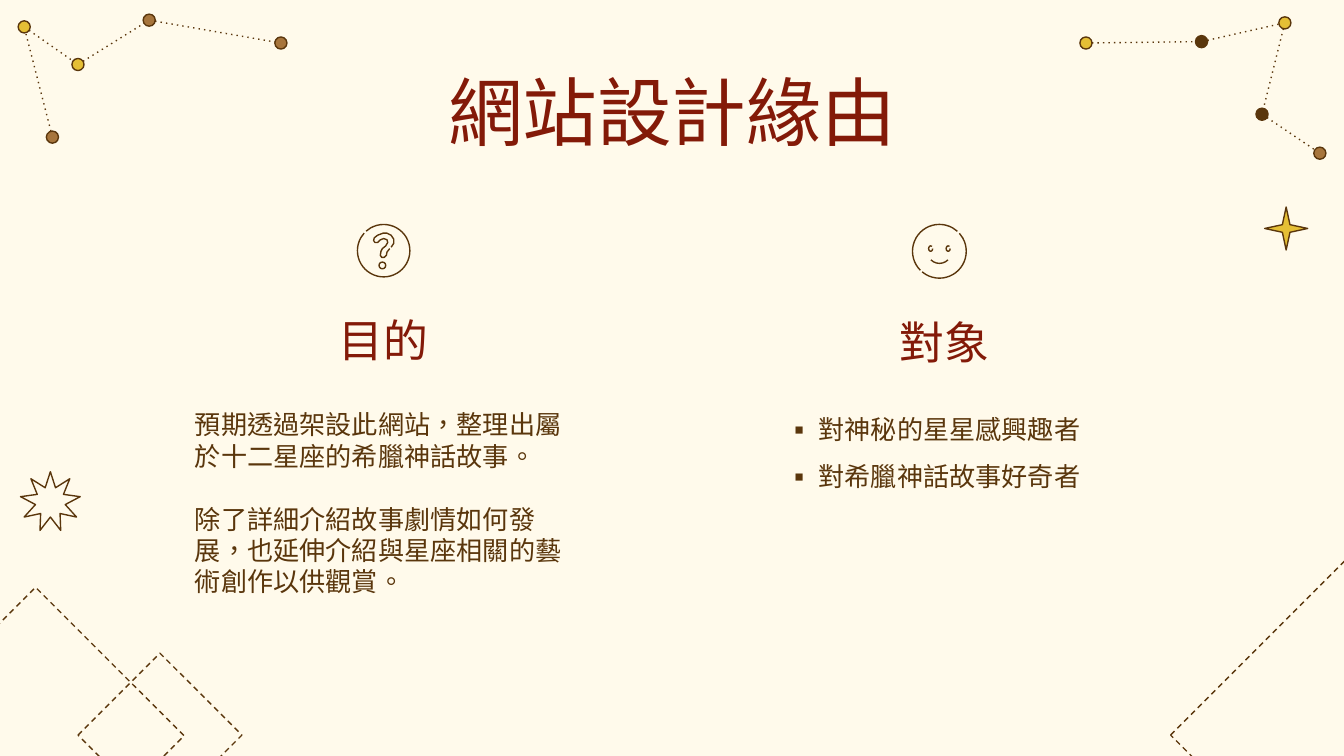
import math
import pptx
import pptx.dml.color
import pptx.enum.dml
import pptx.enum.shapes
import pptx.enum.text
import pptx.oxml.ns
import pptx.util
from lxml import etree

Inches, Pt = pptx.util.Inches, pptx.util.Pt
SHAPE = pptx.enum.shapes.MSO_SHAPE
DASH = pptx.enum.dml.MSO_LINE
ALIGN = pptx.enum.text.PP_ALIGN
ANCHOR = pptx.enum.text.MSO_ANCHOR
qn = pptx.oxml.ns.qn

FONT = "Noto Sans CJK JP"
CREAM, RED, BROWN, GOLD, TAN = "FFFAEB", "831A08", "5A360C", "E5BF35", "A7753C"


def rgb(code):
    return pptx.dml.color.RGBColor.from_string(code)


def apply(target, values):
    for name, value in values.items():
        setattr(target, name, value)


def ink(item, dash=None):
    """Give a shape or connector the common brown line."""
    item.line.color.rgb = rgb(BROWN)
    apply(item.line, {"width": Pt(0.75), "dash_style": dash})


def paint(shape, fill=None, dash=None):
    shape.shadow.inherit = False
    if fill:
        shape.fill.solid()
        shape.fill.fore_color.rgb = rgb(fill)
    else:
        shape.fill.background()
    ink(shape, dash)


def draw(slide, kind, box, fill=None, dash=None, adjust=()):
    shape = slide.shapes.add_shape(kind, *map(Inches, box))
    for i, value in enumerate(adjust):
        shape.adjustments[i] = value
    paint(shape, fill, dash)


def arc(slide, box, start, end):
    """Draw a clockwise arc between two angles in degrees."""
    draw(slide, SHAPE.ARC, box, adjust=(start * 0.6, end * 0.6))


def outline(slide, points, close):
    first, *rest = [(Inches(x), Inches(y)) for x, y in points]
    pen = slide.shapes.build_freeform(*first)
    pen.add_line_segments(rest, close=close)
    paint(pen.convert_to_shape())


def chain(slide, left, top, stars):
    """Draw stars joined by dotted lines that stop at their rims."""
    size = 0.09
    spots = [(left + x, top + y) for x, y, _ in stars]
    for (ax, ay), (bx, by) in zip(spots, spots[1:]):
        gap = size / 2 / math.hypot(bx - ax, by - ay)
        dx, dy = (bx - ax) * gap, (by - ay) * gap
        ends = map(Inches, (ax + dx, ay + dy, bx - dx, by - dy))
        link = slide.shapes.add_connector(
            pptx.enum.shapes.MSO_CONNECTOR.STRAIGHT, *ends)
        ink(link, DASH.ROUND_DOT)
        props = link._element.spPr
        props.find(".//" + qn("a:prstDash")).set("val", "dot")
        etree.SubElement(props, qn("a:effectLst"))
    for (x, y), (_, _, fill) in zip(spots, stars):
        draw(slide, SHAPE.OVAL, (x - size / 2, y - size / 2, size, size), fill)


def burst(slide, left, top, size, tips=9):
    """Draw an outlined star with many tips."""
    points = []
    for i in range(2 * tips):
        reach = size / 2 if i % 2 == 0 else size / 4
        turn = math.pi * (i / tips - 0.5)
        points.append((left + size / 2 + reach * math.cos(turn),
                       top + size / 2 + reach * math.sin(turn)))
    outline(slide, points, True)


def query(slide, left, top, size):
    """Draw a question mark in a ring."""
    arc(slide, (left, top, size, size), 228, 222)
    hook = [(25, 17), (27, 14), (27, 11), (25, 8), (22, 6.5), (19, 6.5),
            (15, 8), (12.5, 10), (12, 12), (13, 13.5), (15, 13.5),
            (17, 11.5), (19.5, 10.5), (22, 11.5), (22.5, 13.5), (21, 16),
            (18.5, 18), (17.5, 20), (17, 23), (18, 24.5), (20, 24.5),
            (21.5, 23), (22, 20.5), (24, 18)]
    outline(slide, [(left + x / 100, top + y / 100) for x, y in hook], False)
    draw(slide, SHAPE.OVAL, (left + 0.16, top + 0.28, 0.05, 0.05))


def smile(slide, left, top, size):
    """Draw a smiling face in a ring of two halves."""
    ring = (left, top, size, size)
    arc(slide, ring, 135, 312)
    arc(slide, ring, 318, 130)
    for x in (0.12, 0.25):
        arc(slide, (left + x, top + 0.16, 0.03, 0.04), 0, 300)
    arc(slide, (left + 0.11, top + 0.11, 0.18, 0.18), 45, 135)


def write(holder, box, lines, size, color, anchor=ANCHOR.TOP, align=ALIGN.LEFT,
          gap=0, spacing=1.0, margin=0, inset=0.05, bullet=None, wrap=True):
    """Place a placeholder and fill it with formatted paragraphs."""
    apply(holder, dict(zip(("left", "top", "width", "height"),
                           map(Inches, box))))
    frame = holder.text_frame
    frame.text = "\n".join(lines)
    apply(frame, {"vertical_anchor": anchor, "word_wrap": wrap,
                  "auto_size": pptx.enum.text.MSO_AUTO_SIZE.NONE,
                  "margin_left": Inches(0.1), "margin_right": Inches(0.1),
                  "margin_top": Inches(inset),
                  "margin_bottom": Inches(inset)})
    for i, para in enumerate(frame.paragraphs):
        props = para._p.get_or_add_pPr()
        props.set("marL", str(Inches(margin)))
        props.set("indent", str(-Inches(margin) if bullet else 0))
        props.set("hangingPunct", "0")
        if bullet:
            etree.SubElement(props, qn("a:buFont"), typeface=FONT)
            etree.SubElement(props, qn("a:buChar"), char=bullet)
        else:
            etree.SubElement(props, qn("a:buNone"))
        apply(para, {"alignment": align, "line_spacing": spacing,
                     "space_before": Pt(gap if i else 0),
                     "space_after": Pt(0)})
        for run in para.runs:
            apply(run.font, {"size": Pt(size), "bold": False, "name": FONT})
            run.font.color.rgb = rgb(color)
            props = run._r.get_or_add_rPr()
            props.set("lang", "zh-TW")
            etree.SubElement(props, qn("a:ea"), typeface=FONT)


def head(holder, box, text):
    write(holder, box, [text], 24, RED, ANCHOR.BOTTOM, ALIGN.CENTER,
          margin=0.15, inset=0.1)


def decor(slide):
    chain(slide, 8.03, 0.13, [(0.05, 0.19, GOLD), (0.91, 0.18, BROWN),
                              (1.53, 0.04, GOLD), (1.36, 0.72, BROWN),
                              (1.79, 1.01, TAN)])
    chain(slide, 0.13, 0.11, [(0.26, 0.91, TAN), (0.05, 0.09, GOLD),
                              (0.45, 0.37, GOLD), (0.98, 0.04, TAN),
                              (1.96, 0.21, TAN)])
    for left, top, size in ((8.71, 4.11, 2.72), (-0.84, 4.37, 2.21),
                            (0.58, 4.86, 1.22)):
        draw(slide, SHAPE.DIAMOND, (left, top, size, size), dash=DASH.DASH)
    draw(slide, SHAPE.STAR_4_POINT, (9.41, 1.54, 0.32, 0.32), GOLD,
         adjust=(0.125,))
    burst(slide, 0.15, 3.51, 0.45)


def main():
    deck = pptx.Presentation()
    apply(deck, {"slide_width": Inches(10),
                 "slide_height": Inches(10 * 9 / 16)})
    slide = deck.slides.add_slide(deck.slide_layouts.get_by_name("Comparison"))
    slide.background.fill.solid()
    slide.background.fill.fore_color.rgb = rgb(CREAM)
    title, aim, reason, crowd, readers = slide.placeholders

    decor(slide)
    write(title, (3.23, 0.5, 3.54, 0.76), ["網站設計緣由"], 40, RED,
          ANCHOR.BOTTOM, ALIGN.CENTER, inset=0.1, wrap=False)
    query(slide, 2.66, 1.67, 0.39)
    head(aim, (1.41, 2.33, 2.74, 0.5), "目的")
    write(reason, (1.35, 2.99, 3.05, 1.51),
          ["預期透過架設此網站，整理出屬於十二星座的希臘神話故事。",
           "除了詳細介紹故事劇情如何發展，也延伸介紹與星座相關的藝術創作以供觀賞。"],
          14, BROWN, gap=17)
    smile(slide, 6.79, 1.67, 0.4)
    head(crowd, (5.58, 2.34, 2.74, 0.5), "對象")
    write(readers, (5.75, 2.91, 2.47, 0.77),
          ["對神秘的星星感興趣者", "對希臘神話故事好奇者"], 14, BROWN,
          spacing=1.5, margin=0.24, bullet="▪")
    deck.save("out.pptx")


if __name__ == "__main__":
    main()
